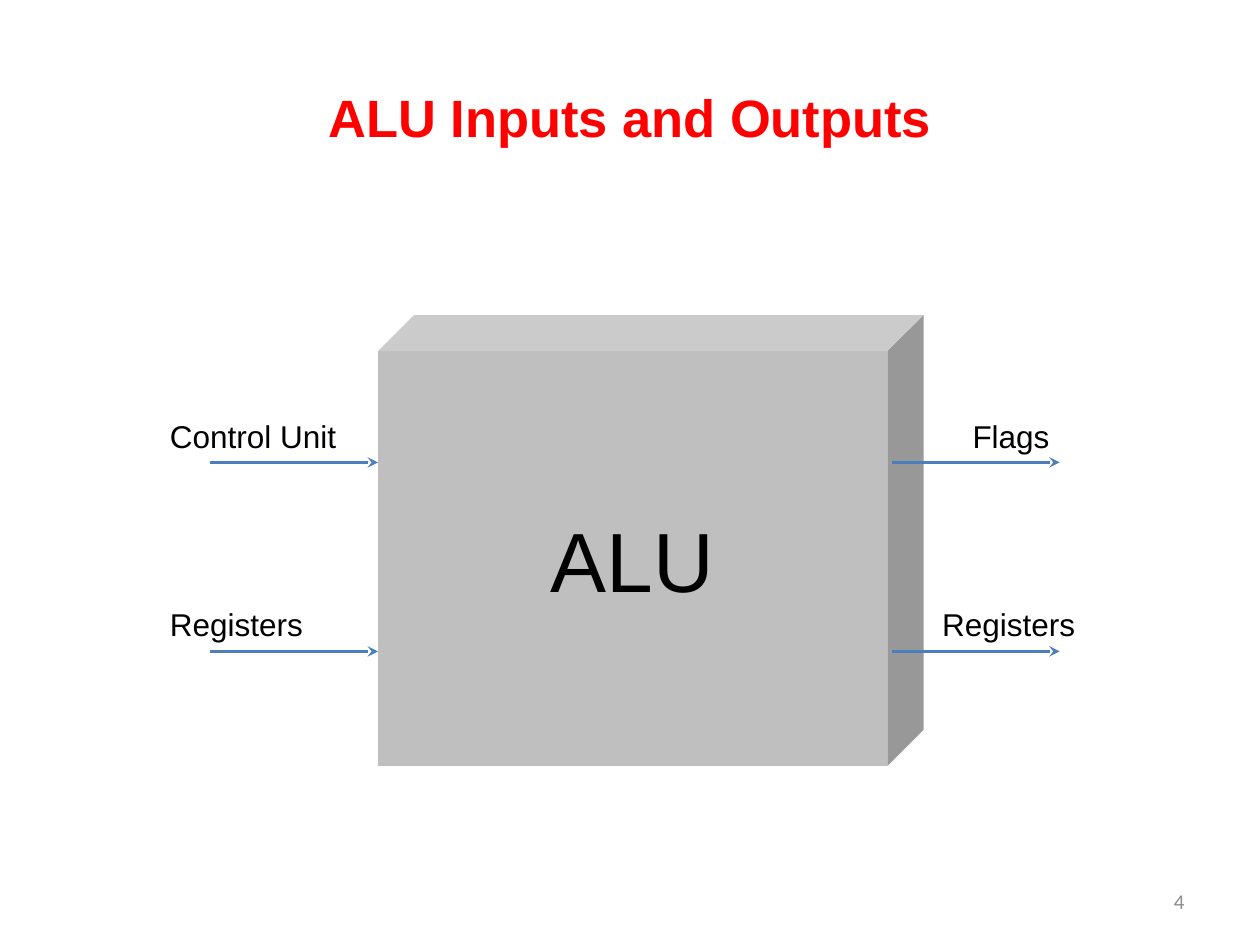
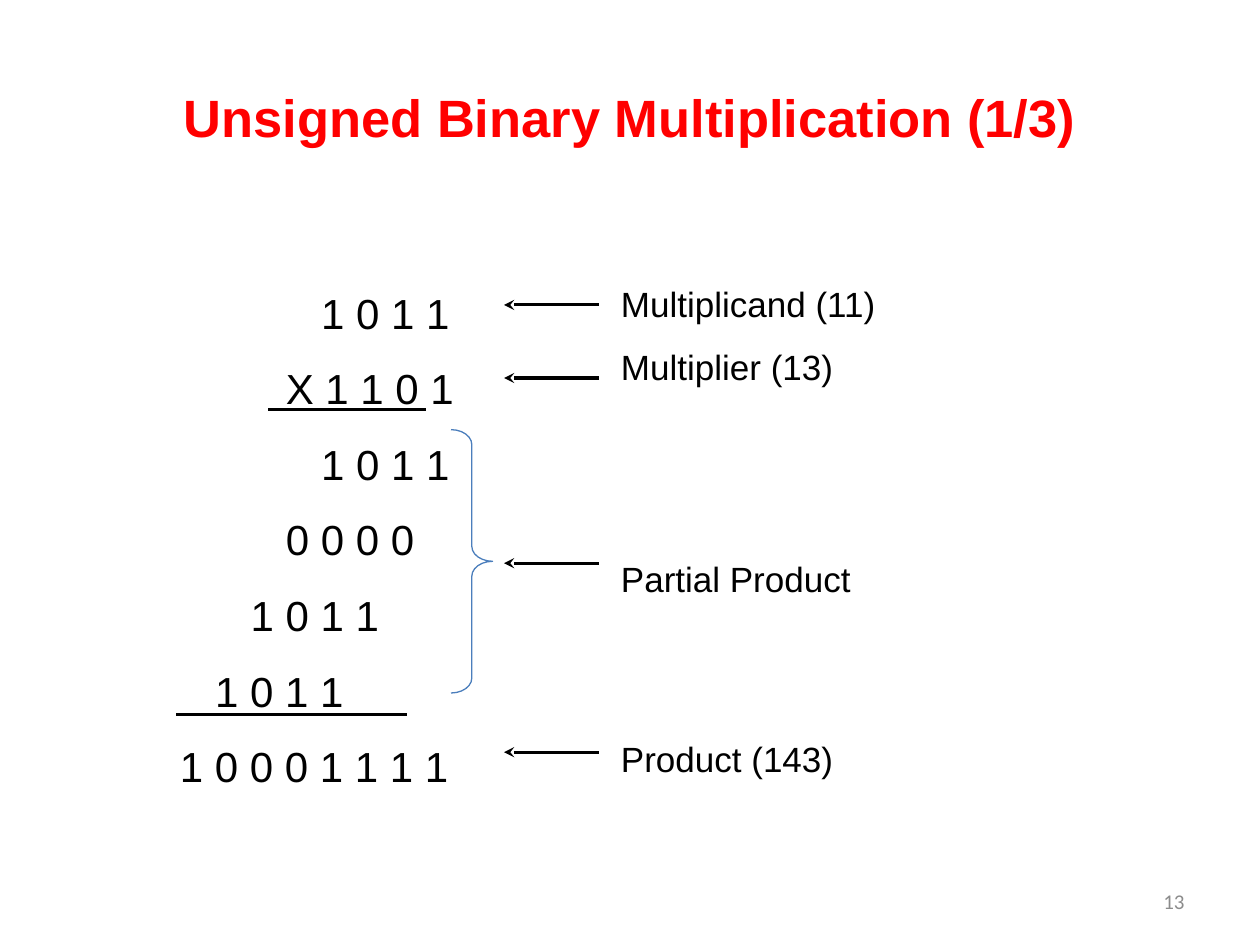
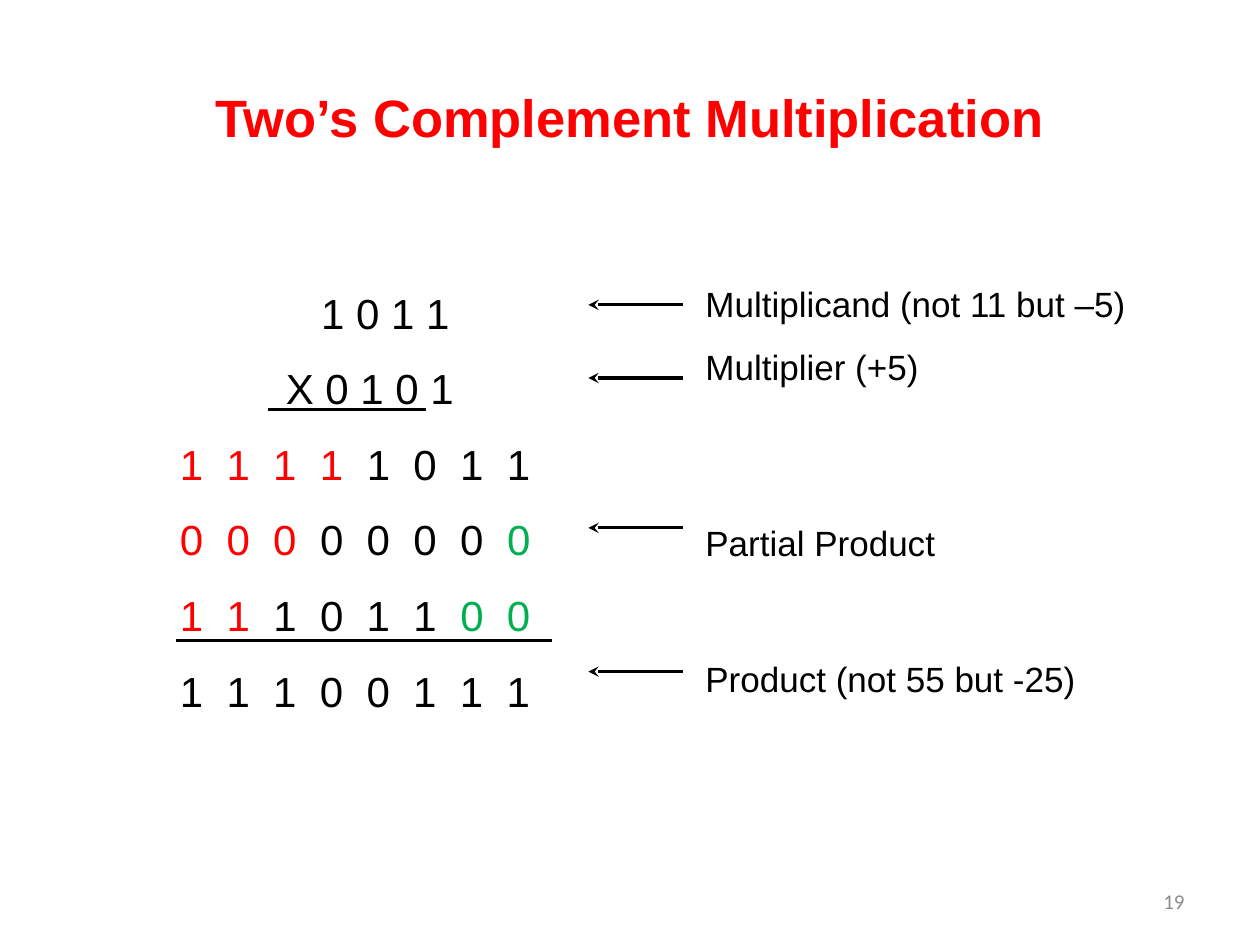
from dataclasses import dataclass
from typing import NamedTuple

from lxml import etree
from pptx import Presentation
from pptx.dml.color import RGBColor
from pptx.enum.shapes import MSO_CONNECTOR, MSO_SHAPE
from pptx.enum.text import MSO_ANCHOR, MSO_AUTO_SIZE, PP_ALIGN
from pptx.oxml.ns import qn
from pptx.util import Emu, Pt

# Enum members
LEFT, CENTER, RIGHT = PP_ALIGN.LEFT, PP_ALIGN.CENTER, PP_ALIGN.RIGHT
TOP, MIDDLE = MSO_ANCHOR.TOP, MSO_ANCHOR.MIDDLE
GROW = MSO_AUTO_SIZE.SHAPE_TO_FIT_TEXT
CUBE, BRACE = MSO_SHAPE.CUBE, MSO_SHAPE.RIGHT_BRACE
STRAIGHT = MSO_CONNECTOR.STRAIGHT

# Colours and fonts
BLACK = RGBColor(0x00, 0x00, 0x00)
RED = RGBColor(0xFF, 0x00, 0x00)
GREEN = RGBColor(0x00, 0xB0, 0x50)
BLUE = RGBColor(0x4B, 0x7E, 0xBC)
SILVER = RGBColor(0xBF, 0xBF, 0xBF)
GRAY = RGBColor(0x8C, 0x8C, 0x8C)
BODY_FONT, NUMBER_FONT = "Arial", "Calibri"

# Lengths: 100 px to the inch
PX = 9144
DIGIT_COLUMN = 28
WIDE_SPACING = 334  # hundredths of a point


class Box(NamedTuple):
    x: int
    y: int
    w: int
    h: int


class Run(NamedTuple):
    text: str
    color: RGBColor = BLACK


class Row(NamedTuple):
    runs: list[Run]
    column: int = 0
    wide: bool = False


class Label(NamedTuple):
    lines: list[str]
    y: int
    w: int
    h: int


class Rule(NamedTuple):
    x1: int
    x2: int
    y: int


@dataclass
class Multiplication:
    title: str
    number: int
    rows: list[Row]
    rows_box: Box
    rules: list[Rule]
    label_x: int
    labels: list[Label]
    arrow_ys: list[int]


TITLE_BOX = Box(50, 30, 900, 125)
NUMBER_BOX = Box(717, 695, 233, 40)


def px(n: int) -> Emu:
    return Emu(n * PX)


def emus(box: Box) -> list[Emu]:
    return [px(n) for n in box]


# Drawing helpers
def write(tf, rows: list[Row], *, size: int, font: str = BODY_FONT,
          bold: bool = False, align=LEFT, anchor=TOP, spacing: float = 1.0) -> None:
    tf.vertical_anchor = anchor
    for i, row in enumerate(rows):
        p = tf.paragraphs[0] if i == 0 else tf.add_paragraph()
        p.alignment, p.line_spacing = align, spacing
        if row.column:
            p._p.get_or_add_pPr().set("marL", str(px(row.column * DIGIT_COLUMN)))
        for run in row.runs:
            r = p.add_run()
            r.text = run.text
            r.font.size, r.font.name, r.font.bold = Pt(size), font, bold
            r.font.color.rgb = run.color
            if row.wide:
                r._r.get_or_add_rPr().set("spc", str(WIDE_SPACING))


def add_text(slide, box: Box, rows: list[Row], *, wrap: bool = True,
             grow: bool = False, **fmt):
    tf = slide.shapes.add_textbox(*emus(box)).text_frame
    tf.word_wrap = wrap
    if grow:
        tf.auto_size = GROW
    write(tf, rows, **fmt)
    return tf


def plain(*lines: str, color: RGBColor = BLACK) -> list[Row]:
    return [Row([Run(line, color)]) for line in lines]


def add_line(slide, x1: int, x2: int, y: int, *, color: RGBColor = BLACK,
             width: float = 1.75, arrow: bool = False) -> None:
    sp = slide.shapes.add_connector(STRAIGHT, px(x1), px(y), px(x2), px(y))
    sp.line.color.rgb, sp.line.width = color, Pt(width)
    if arrow:
        etree.SubElement(sp.line._get_or_add_ln(), qn("a:tailEnd"), type="stealth")
    etree.SubElement(sp._element.spPr, qn("a:effectLst"))


def add_preset(slide, kind, box: Box, *adjustments: float):
    sp = slide.shapes.add_shape(kind, *emus(box))
    sp.shadow.inherit = False
    for i, value in enumerate(adjustments):
        sp.adjustments[i] = value
    return sp


def new_slide(prs, title: str, number: int):
    slide = prs.slides.add_slide(prs.slide_layouts[6])
    add_text(slide, TITLE_BOX, plain(title, color=RED), size=30, bold=True,
             align=CENTER, anchor=MIDDLE)
    add_text(slide, NUMBER_BOX, plain(str(number), color=GRAY), size=12,
             font=NUMBER_FONT, align=RIGHT, anchor=MIDDLE)
    return slide


# ALU block diagram
def build_alu(prs) -> None:
    slide = new_slide(prs, "ALU Inputs and Outputs", 4)
    cube = add_preset(slide, CUBE, Box(300, 250, 433, 358), 0.08)
    cube.fill.solid()
    cube.fill.fore_color.rgb = SILVER
    cube.line.fill.background()
    write(cube.text_frame, plain("ALU"), size=48, align=CENTER, anchor=MIDDLE)
    for x in (167, 708):
        for y in (367, 517):
            add_line(slide, x, x + 133, y, color=BLUE, width=2, arrow=True)
    for text, box in [("Control Unit", Box(125, 326, 153, 40)),
                      ("Registers", Box(125, 475, 127, 40)),
                      ("Registers", Box(738, 475, 127, 40)),
                      ("Flags", Box(762, 326, 82, 40))]:
        add_text(slide, box, plain(text), wrap=False, grow=True, size=18)


# Long multiplication with labelled steps
def build_multiplication(prs, m: Multiplication):
    slide = new_slide(prs, m.title, m.number)
    tf = add_text(slide, m.rows_box, m.rows, grow=True, size=24, spacing=1.5)
    tf.margin_right = 0
    for rule in m.rules:
        add_line(slide, rule.x1, rule.x2, rule.y)
    for label in m.labels:
        add_text(slide, Box(m.label_x, label.y, label.w, label.h), plain(*label.lines),
                 wrap=False, grow=True, size=20, spacing=1.5)
    for y in m.arrow_ys:
        add_line(slide, m.label_x - 8, m.label_x - 83, y, arrow=True)
    return slide


UNSIGNED = Multiplication(
    title="Unsigned Binary Multiplication (1/3)",
    number=13,
    rows=[Row([Run(text)], column) for text, column in [
        ("1 0 1 1", 4), ("X 1 1 0 1", 3), ("1 0 1 1", 4), ("0 0 0 0", 3),
        ("1 0 1 1", 2), ("1 0 1 1", 1), ("1 0 0 0 1 1 1 1", 0)]],
    rows_box=Box(133, 203, 238, 427),
    rules=[Rule(213, 338, 325), Rule(140, 323, 567)],
    label_x=483,
    labels=[Label(["Multiplicand (11)", "Multiplier (13)"], 203, 224, 105),
            Label(["Partial Product"], 421, 204, 54),
            Label(["Product (143)"], 564, 190, 61)],
    arrow_ys=[242, 300, 447, 597],
)

SIGNED = Multiplication(
    title="Two’s Complement Multiplication",
    number=19,
    rows=[
        Row([Run("1 0 1 1")], 4),
        Row([Run("X 0 1 0 1")], 3),
        Row([Run("1 1 1 1 ", RED), Run("1 0 1 1")], wide=True),
        Row([Run("0 0 0 ", RED), Run("0 0 0 0 "), Run("0", GREEN)], wide=True),
        Row([Run("1 1 ", RED), Run("1 0 1 1 "), Run("0 0", GREEN)], wide=True),
        Row([Run("1 1 1 0 0 1 1 1")], wide=True),
    ],
    rows_box=Box(133, 203, 300, 374),
    rules=[Rule(213, 338, 325), Rule(140, 438, 508)],
    label_x=550,
    labels=[Label(["Multiplicand (not 11 but –5)", "Multiplier (+5)"], 203, 356, 111),
            Label(["Partial Product"], 392, 204, 54),
            Label(["Product (not 55 but -25)"], 500, 316, 61)],
    arrow_ys=[242, 300, 419, 533],
)


def main() -> None:
    prs = Presentation()
    prs.slide_width, prs.slide_height = px(1000), px(750)
    build_alu(prs)
    slide = build_multiplication(prs, UNSIGNED)
    brace = add_preset(slide, BRACE, Box(358, 341, 33, 209), 0.36, 0.5)
    brace.fill.background()
    brace.line.color.rgb, brace.line.width = BLUE, Pt(0.75)
    build_multiplication(prs, SIGNED)
    prs.save("out.pptx")


if __name__ == "__main__":
    main()
